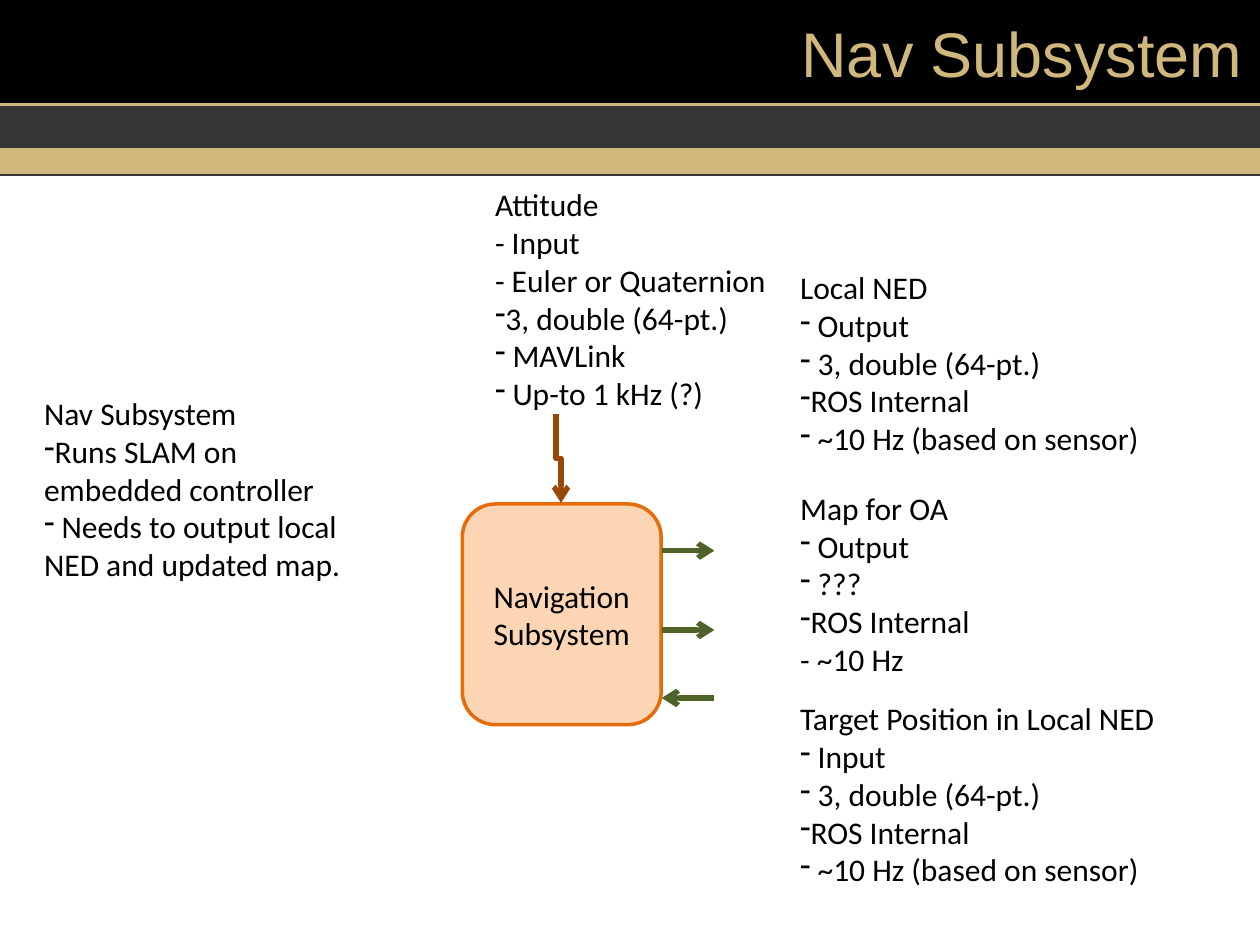
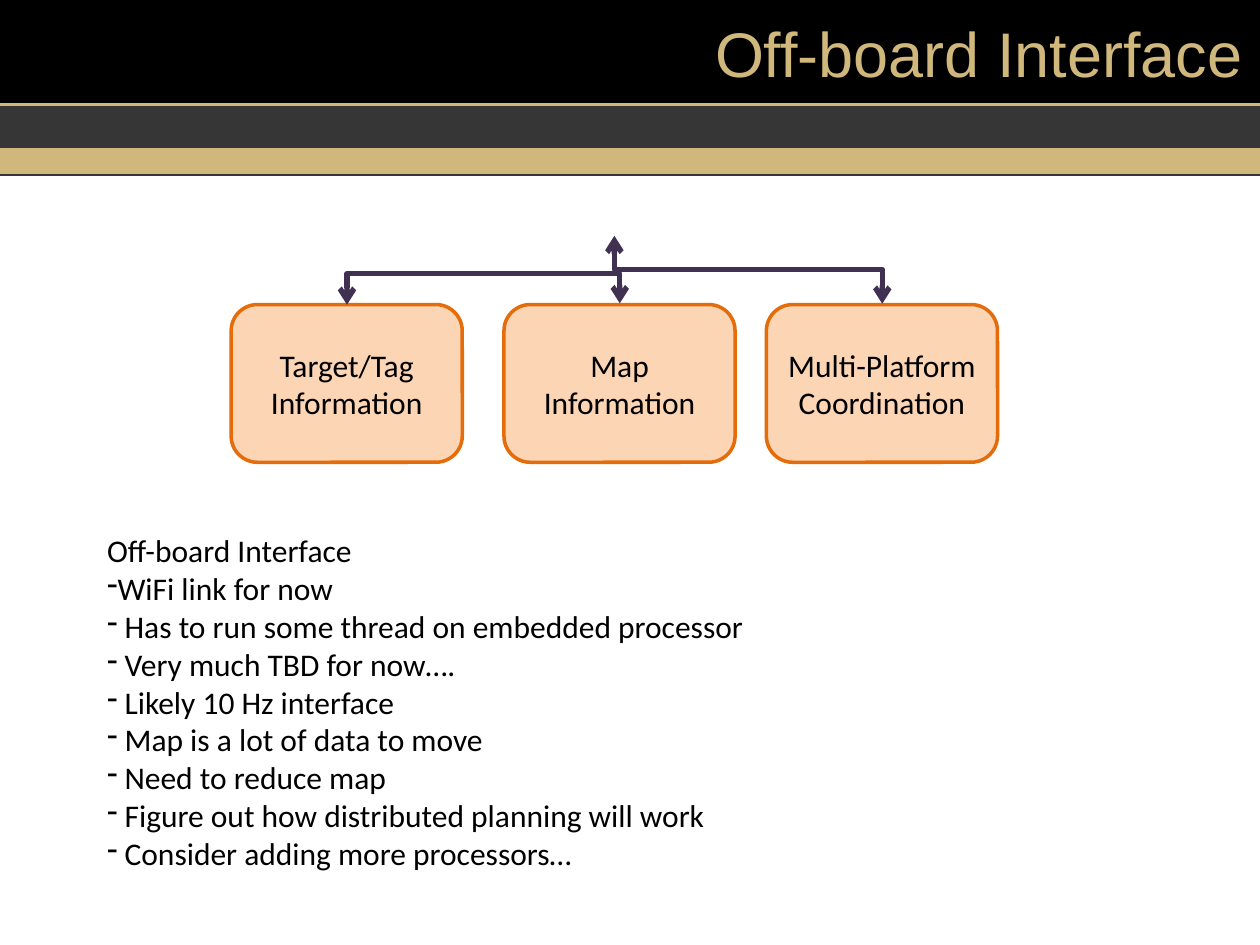
from lxml.etree import SubElement
from pptx import Presentation
from pptx.dml.color import RGBColor
from pptx.enum.shapes import MSO_CONNECTOR, MSO_SHAPE
from pptx.enum.text import MSO_ANCHOR, MSO_AUTO_SIZE, PP_ALIGN
from pptx.oxml.ns import qn
from pptx.util import Cm, Pt

BLACK, GOLD, GRAY = "000000", "D0B87C", "363636"
PEACH, ORANGE = "FCD5B5", "E46C0A"
BROWN, GREEN, PURPLE = "984807", "4F6228", "403152"
WIDE, HIGH = 25.4, 19.05


def paint(part, color):
    """Give a fill, or the fill of a line, one solid colour."""
    part.solid()
    part.fore_color.rgb = RGBColor.from_string(color)


def write(frame, lines, size=18, font="Calibri", color=BLACK,
          align=PP_ALIGN.LEFT, anchor=MSO_ANCHOR.TOP):
    """Fill a text frame; a line that starts with * gets a dash bullet."""
    frame.word_wrap = True
    frame.vertical_anchor = anchor
    for i, line in enumerate(lines):
        para = frame.paragraphs[0] if i == 0 else frame.add_paragraph()
        para.alignment = align
        if line.startswith("*"):
            props = para._p.get_or_add_pPr()
            props.set("marL", "0")
            props.set("indent", "0")
            SubElement(props, qn("a:buFontTx"))
            SubElement(props, qn("a:buChar")).set("char", "-")
        run = para.add_run()
        run.text = line.removeprefix("*")
        run.font.size = Pt(size)
        run.font.name = font
        run.font.color.rgb = RGBColor.from_string(color)


def shape(slide, kind, box, fill, edge=None):
    """Add a preset shape with a flat fill and an optional 2 pt edge."""
    item = slide.shapes.add_shape(kind, *map(Cm, box))
    item.shadow.inherit = False
    paint(item.fill, fill)
    if edge:
        paint(item.line.fill, edge)
        item.line.width = Pt(2)
    else:
        item.line.fill.background()
    return item


def block(slide, box, lines):
    """Add a rounded block with centred text."""
    item = shape(slide, MSO_SHAPE.ROUNDED_RECTANGLE, box, PEACH, ORANGE)
    write(item.text_frame, lines, align=PP_ALIGN.CENTER,
          anchor=MSO_ANCHOR.MIDDLE)


def note(slide, box, lines):
    """Add a text box that grows with its lines."""
    frame = slide.shapes.add_textbox(*map(Cm, box)).text_frame
    write(frame, lines)
    frame.auto_size = MSO_AUTO_SIZE.SHAPE_TO_FIT_TEXT


def link(slide, start, end, color, width=3, heads=(),
         kind=MSO_CONNECTOR.STRAIGHT):
    """Add a connector with arrowheads at the named ends."""
    item = slide.shapes.add_connector(kind, *map(Cm, (*start, *end)))
    paint(item.line.fill, color)
    item.line.width = Pt(width)
    for name in heads:
        SubElement(item.line._get_or_add_ln(), qn(f"a:{name}")).set(
            "type", "arrow")
    SubElement(item._element.spPr, qn("a:effectLst"))
    return item


def bend(slide, start, end, color, turn, heads, adjust=0.5):
    """Add an elbow connector, drawn start to end and then turned."""
    item = link(slide, start, end, color, heads=heads,
                kind=MSO_CONNECTOR.ELBOW)
    props = item._element.spPr
    props.find(qn("a:xfrm")).set("rot", str(turn * 60000))
    geom = props.find(qn("a:prstGeom"))
    guides = geom.find(qn("a:avLst"))
    if guides is None:
        guides = SubElement(geom, qn("a:avLst"))
    guide = SubElement(guides, qn("a:gd"))
    guide.set("name", "adj1")
    guide.set("fmla", f"val {round(adjust * 100000)}")


def page(deck, title):
    """Add a slide with the header bands and its title."""
    slide = deck.slides.add_slide(deck.slide_layouts[6])
    rect = MSO_SHAPE.RECTANGLE
    shape(slide, rect, (0, 0, WIDE, 2.08), BLACK)
    link(slide, (0, 2.13), (WIDE, 2.13), GOLD)
    shape(slide, rect, (0, 3, WIDE, 0.51), GOLD, GOLD)
    shape(slide, rect, (0, 2.18, WIDE, 0.76), GRAY, GRAY)
    link(slide, (0, 3.53), (WIDE, 3.53), GRAY, 0.75)
    head = slide.shapes.add_textbox(*map(Cm, (8.59, 0.05, 16.71, 2.03)))
    write(head.text_frame, [title], size=36, font="Arial", color=GOLD,
          align=PP_ALIGN.RIGHT, anchor=MSO_ANCHOR.MIDDLE)
    return slide


def nav(deck):
    """Build the navigation slide."""
    slide = page(deck, "Nav Subsystem")
    block(slide, (9.32, 10.16, 4.01, 4.45), ["Navigation", "Subsystem"])
    bend(slide, (12.16, 9.19), (10.36, 9.29), BROWN, 270, ["tailEnd"])
    near, far = 13.34, 14.4
    for y, start, end in ((11.1, near, far), (12.7, near, far),
                          (14.07, far, near)):
        link(slide, (start, y), (end, y), GREEN, heads=["tailEnd"])
    note(slide, (9.73, 3.61, 7.19, 5.64), [
        "Attitude", "- Input", "- Euler or Quaternion",
        "*3, double (64-pt.)", "* MAVLink", "* Up-to 1 kHz (?)"])
    note(slide, (0.64, 7.82, 7.19, 5.64), [
        "Nav Subsystem", "*Runs SLAM on embedded controller",
        "* Needs to output local NED and updated map."])
    triple, rate = "* 3, double (64-pt.)", "* ~10 Hz (based on sensor)"
    for top, name, way, data, pace in (
            (5.28, "Local NED", "* Output", triple, rate),
            (9.73, "Map for OA", "* Output", "* ???", "- ~10 Hz"),
            (13.97, "Target Position in Local NED", "* Input", triple, rate)):
        note(slide, (15.88, top, 9.09, 5.05),
             [name, way, data, "*ROS Internal", pace])


def board(deck):
    """Build the off-board interface slide."""
    slide = page(deck, "Off-board Interface")
    for left, name in ((4.66, "Target/Tag Information"),
                       (10.16, "Map Information"),
                       (15.45, "Multi-Platform Coordination")):
        block(slide, (left, 6.14, 4.66, 3.18), [name])
    both = ["headEnd", "tailEnd"]
    bend(slide, (9.76, 8.88), (9.73, 3.38), PURPLE, 90, both, 21)
    bend(slide, (14.4, 8.14), (15.77, 2.74), PURPLE, 270, both)
    note(slide, (1.91, 10.59, 21.79, 7.9), [
        "Off-board Interface", "*WiFi link for now",
        "* Has to run some thread on embedded processor",
        "* Very much TBD for now….", "* Likely 10 Hz interface",
        "* Map is a lot of data to move", "* Need to reduce map",
        "* Figure out how distributed planning will work",
        "* Consider adding more processors…"])


def main():
    """Build and save the deck."""
    deck = Presentation()
    deck.slide_width, deck.slide_height = Cm(WIDE), Cm(HIGH)
    nav(deck)
    board(deck)
    deck.save("out.pptx")


main()
